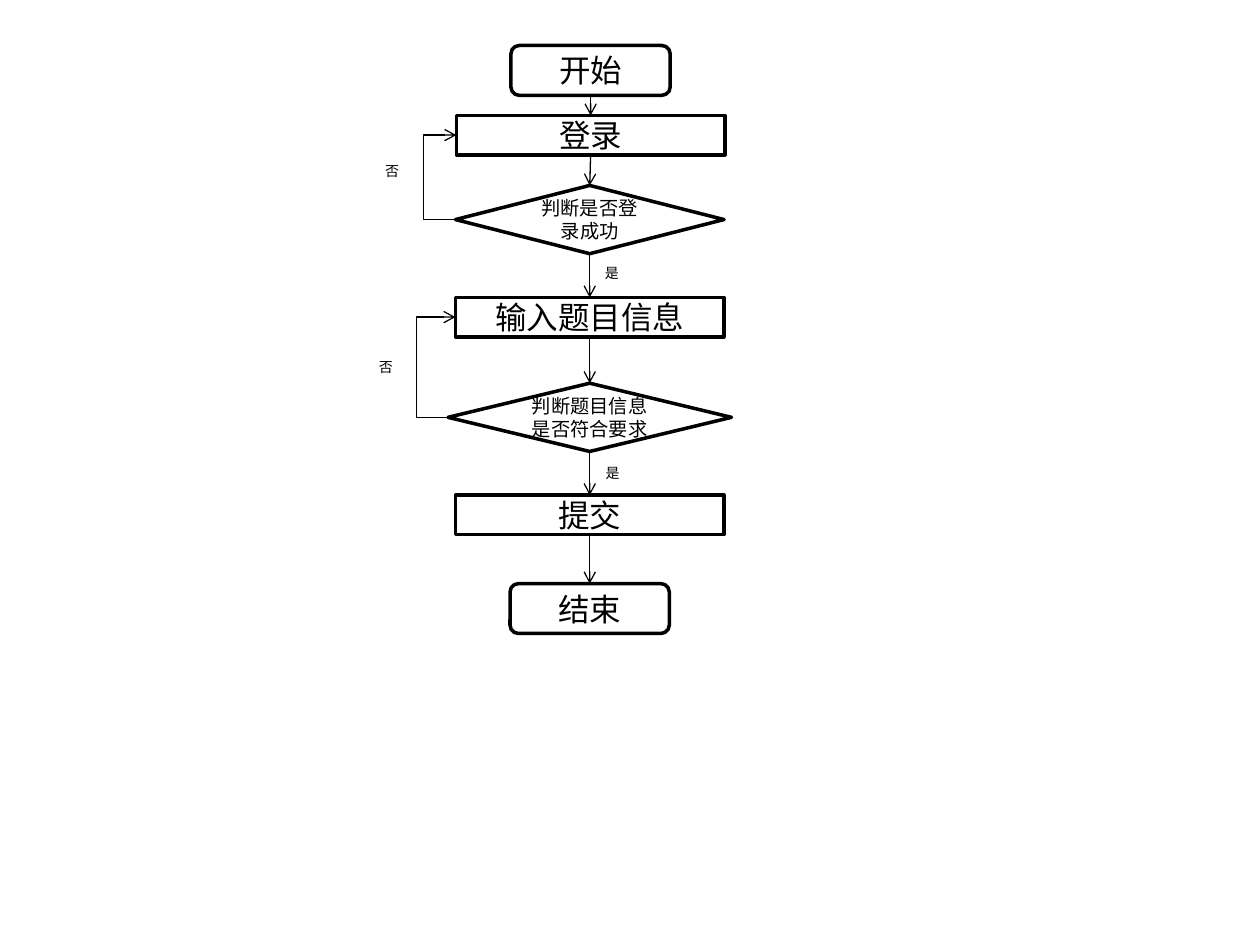
from lxml import etree
from pptx import Presentation
from pptx.dml.color import RGBColor
from pptx.enum import shapes, text
from pptx.oxml.ns import qn
from pptx.util import Pt

BLACK = RGBColor(0, 0, 0)
FONT = "Calibri"
TOP, LEFT, BOTTOM = 0, 1, 2  # connection sites

TERMINAL = shapes.MSO_SHAPE.ROUNDED_RECTANGLE
PROCESS = shapes.MSO_SHAPE.RECTANGLE
DECISION = shapes.MSO_SHAPE.FLOWCHART_DECISION

# Wording, kind, centre x, top, width, height, text size
STEPS = [
    ("开始", TERMINAL, 337.5, 26, 91, 28.5, 18),
    ("登录", PROCESS, 337.5, 66, 153.5, 22.5, 18),
    ("判断是否登录成功", DECISION, 337, 106, 153.5, 39, 11),
    ("输入题目信息", PROCESS, 337, 170, 153.5, 22.5, 18),
    ("判断题目信息是否符合要求", DECISION, 337, 219, 162, 39, 11),
    ("提交", PROCESS, 337, 283, 153.5, 22.5, 18),
    ("结束", TERMINAL, 337, 333.5, 91, 28.5, 18),
]

# Wording, left, top
BRANCH_LABELS = [
    ("是", 338.5, 147.5),
    ("否", 213, 89.5),
    ("是", 339, 262),
    ("否", 209.5, 201.5),
]
RETURN_REACH = 18  # how far a return arrow runs left of its decision


def add_text(frame, wording, size, alignment):
    paragraph = frame.paragraphs[0]
    paragraph.alignment = alignment
    run = paragraph.add_run()
    run.text = wording
    run.font.size = Pt(size)
    run.font.name = FONT
    run.font.color.rgb = BLACK


def add_step(slide, wording, kind, centre, top, width, height, size):
    shape = slide.shapes.add_shape(
        kind, Pt(centre - width / 2), Pt(top), Pt(width), Pt(height))
    shape.shadow.inherit = False
    shape.fill.background()
    shape.line.color.rgb = BLACK
    shape.line.width = Pt(2)
    frame = shape.text_frame
    frame.word_wrap = True
    frame.vertical_anchor = text.MSO_ANCHOR.MIDDLE
    add_text(frame, wording, size, text.PP_ALIGN.CENTER)
    return shape


def add_arrow(slide, kind, source, source_site, target, target_site):
    arrow = slide.shapes.add_connector(kind, 0, 0, 0, 0)
    arrow.begin_connect(source, source_site)
    arrow.end_connect(target, target_site)
    arrow.line.color.rgb = BLACK
    arrow.line.width = Pt(0.75)
    etree.SubElement(arrow.line._get_or_add_ln(), qn("a:tailEnd"), type="arrow")
    etree.SubElement(arrow._element.spPr, qn("a:effectLst"))
    return arrow


def add_return_arrow(slide, decision, process):
    arrow = add_arrow(slide, shapes.MSO_CONNECTOR.ELBOW, decision, LEFT, process, LEFT)
    # The bend is measured in 1/100000 of the connector's width
    bend = round(-Pt(RETURN_REACH) / arrow.width * 100000)
    geometry = arrow._element.spPr.find(qn("a:prstGeom"))
    adjustments = geometry.get_or_add_avLst()
    etree.SubElement(adjustments, qn("a:gd"), name="adj1", fmla=f"val {bend}")


def add_branch_label(slide, wording, left, top):
    box = slide.shapes.add_textbox(Pt(left), Pt(top), Pt(22.5), Pt(17))
    frame = box.text_frame
    frame.word_wrap = False
    frame.auto_size = text.MSO_AUTO_SIZE.SHAPE_TO_FIT_TEXT
    add_text(frame, wording, 8, text.PP_ALIGN.LEFT)


def add_flowchart(slide):
    # Steps from start to end
    steps = [add_step(slide, *step) for step in STEPS]

    # Downward arrows between neighbouring steps
    for upper, lower in zip(steps, steps[1:]):
        add_arrow(slide, shapes.MSO_CONNECTOR.STRAIGHT, upper, BOTTOM, lower, TOP)

    # Each decision returns to the process before it
    for index, step in enumerate(STEPS):
        if step[1] == DECISION:
            add_return_arrow(slide, steps[index], steps[index - 1])

    # Branch labels
    for label in BRANCH_LABELS:
        add_branch_label(slide, *label)


def main():
    presentation = Presentation()
    presentation.slide_width = Pt(720)
    presentation.slide_height = Pt(540)
    slide = presentation.slides.add_slide(presentation.slide_layouts[6])
    add_flowchart(slide)
    presentation.save("out.pptx")


if __name__ == "__main__":
    main()
